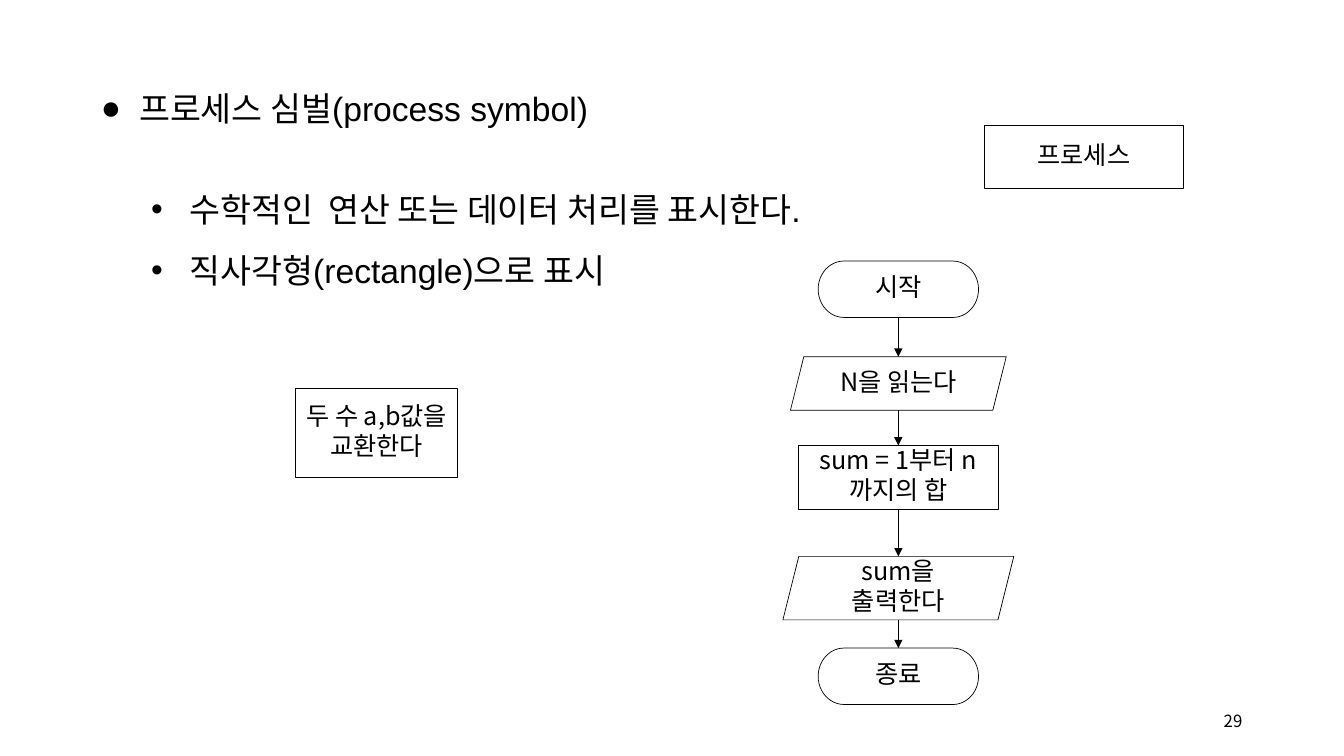
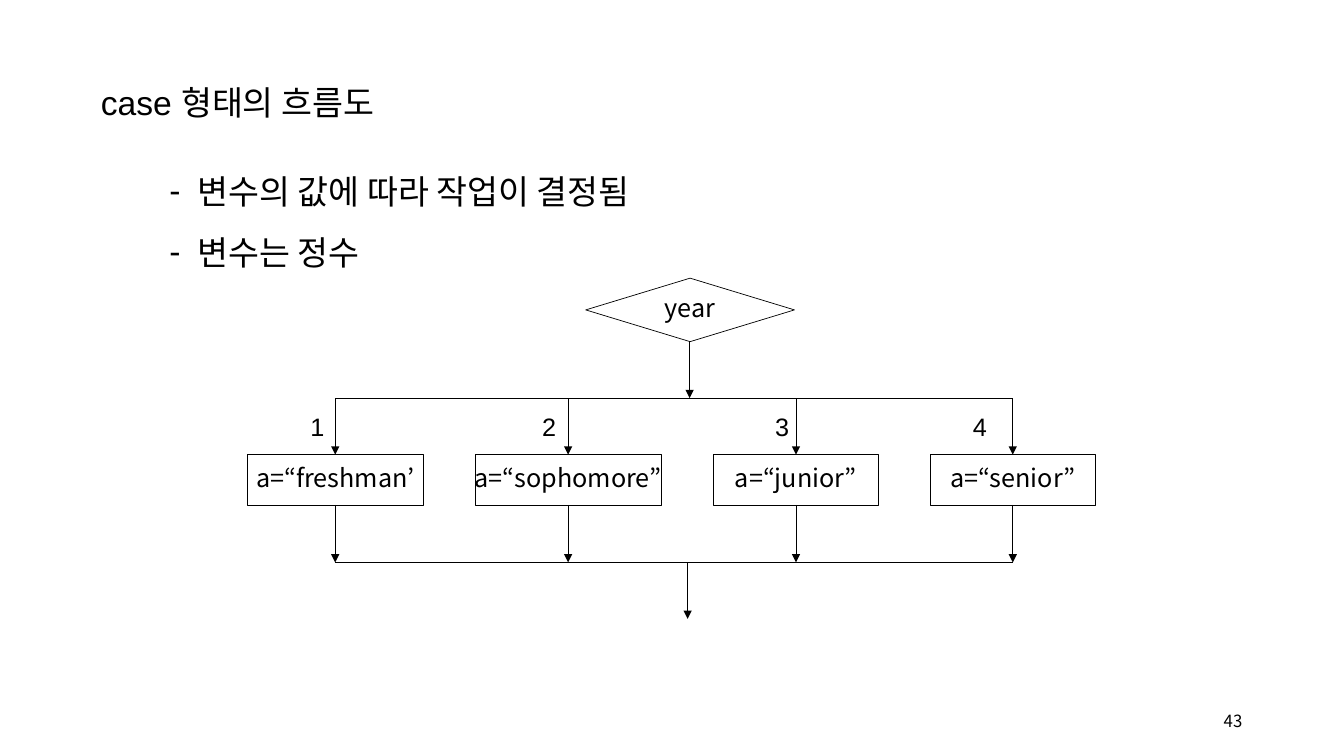
from itertools import pairwise

from lxml.etree import SubElement
from pptx import Presentation
from pptx.dml.color import RGBColor
from pptx.enum.shapes import MSO_CONNECTOR, MSO_SHAPE
from pptx.enum.text import MSO_ANCHOR, MSO_AUTO_SIZE, PP_ALIGN
from pptx.oxml.ns import qn
from pptx.util import Inches, Pt

INK = "000000"
TEXT_FONT = "Arial"
KOREAN_FONT = "Noto Sans CJK KR"
LINE_WIDTH = Pt(0.5)
LIST_SPACING = Pt(43.5)


def color(value):
    """Turn a hex string into a colour."""
    return RGBColor.from_string(value)


def style_paragraph(para, size, font=KOREAN_FONT, align=PP_ALIGN.LEFT):
    """Set the font and alignment of a paragraph."""
    para.alignment = align
    para.font.name = font
    para.font.size = Pt(size)
    para.font.color.rgb = color(INK)
    defaults = para._p.pPr.find(qn("a:defRPr"))
    SubElement(defaults, qn("a:ea"), typeface=KOREAN_FONT)


def set_bullet(para, bullet, margin, indent):
    """Give a paragraph a bullet and a hanging indent, or neither."""
    properties = para._p.get_or_add_pPr()
    properties.set("marL", str(Inches(margin)))
    properties.set("indent", str(-Inches(indent)))
    defaults = properties.find(qn("a:defRPr"))
    if bullet:
        marks = [SubElement(properties, qn("a:buFont"), typeface=TEXT_FONT),
                 SubElement(properties, qn("a:buChar"), char=bullet)]
    else:
        marks = [SubElement(properties, qn("a:buNone"))]
    for mark in marks:
        defaults.addprevious(mark)


def fill_placeholder(box, place, items, bullet="", margin=0, indent=0):
    """Move a placeholder and fill it with evenly spaced paragraphs."""
    box.left, box.top, box.width, box.height = map(Inches, place)
    frame = box.text_frame
    frame.text = "\n".join(items)
    frame.word_wrap = True
    frame.auto_size = MSO_AUTO_SIZE.NONE
    frame.vertical_anchor = MSO_ANCHOR.TOP
    for para in frame.paragraphs:
        para.line_spacing = LIST_SPACING
        para.space_before = Pt(0)
        style_paragraph(para, 24, TEXT_FONT)
        set_bullet(para, bullet, margin, indent)


def add_page(deck, number):
    """Add a title and content page with its page number."""
    page = deck.slides.add_slide(deck.slide_layouts[1])
    box = page.shapes.add_textbox(*map(Inches, (11.94, 6.95, 0.48, 0.4)))
    frame = box.text_frame
    frame.text = str(number)
    frame.word_wrap = True
    frame.vertical_anchor = MSO_ANCHOR.MIDDLE
    style_paragraph(frame.paragraphs[0], 12, align=PP_ALIGN.RIGHT)
    return page


def add_symbol(page, kind, text, left, top, width, height, wrap=True):
    """Add an outlined flowchart symbol with centred text."""
    symbol = page.shapes.add_shape(kind, *map(Inches, (left, top, width, height)))
    symbol.shadow.inherit = False
    symbol.fill.background()
    symbol.line.color.rgb = color(INK)
    symbol.line.width = LINE_WIDTH
    side = 0.05 if kind == MSO_SHAPE.PARALLELOGRAM else 0
    frame = symbol.text_frame
    frame.text = text
    frame.word_wrap = wrap
    frame.vertical_anchor = MSO_ANCHOR.MIDDLE
    frame.margin_left = frame.margin_right = Inches(side)
    frame.margin_top = 0
    frame.margin_bottom = Inches(0.05)
    style_paragraph(frame.paragraphs[0], 18, align=PP_ALIGN.CENTER)


def add_line(page, x1, y1, x2, y2):
    """Add a thin straight line without a shadow."""
    line = page.shapes.add_connector(
        MSO_CONNECTOR.STRAIGHT, *map(Inches, (x1, y1, x2, y2)))
    line.line.color.rgb = color(INK)
    line.line.width = LINE_WIDTH
    SubElement(line._element.spPr, qn("a:effectLst"))
    return line


def add_down_arrow(page, x, top, bottom):
    """Add a vertical line with an arrowhead at the bottom."""
    arrow = add_line(page, x, top, x, bottom)
    SubElement(arrow.line._get_or_add_ln(), qn("a:tailEnd"), type="triangle")


def add_case_label(page, text, left):
    """Add the number beside a branch."""
    box = page.shapes.add_textbox(*map(Inches, (left, 3.88, 0.34, 0.5)))
    frame = box.text_frame
    frame.text = text
    frame.word_wrap = False
    para = frame.paragraphs[0]
    para.line_spacing = 1.5
    style_paragraph(para, 18, TEXT_FONT)


def build_process_page(deck):
    """Build the page on the process symbol."""
    page = add_page(deck, 29)
    fill_placeholder(page.shapes.title, (0.9, 0.62, 8.5, 0.71),
                     ["프로세스 심벌(process symbol)"], "●", 0.38, 0.38)
    fill_placeholder(page.placeholders[1], (0.9, 1.62, 8.5, 1.31),
                     ["수학적인  연산 또는 데이터 처리를 표시한다.",
                      "직사각형(rectangle)으로 표시"], "•", 0.88, 0.38)
    add_symbol(page, MSO_SHAPE.RECTANGLE, "프로세스", 9.76, 1.24, 1.98, 0.63)
    add_symbol(page, MSO_SHAPE.RECTANGLE, "두 수 a,b값을 교환한다",
               2.93, 3.85, 1.61, 0.89)
    center = 8.91
    steps = [
        (MSO_SHAPE.FLOWCHART_TERMINATOR, "시작", 2.59, 1.59, 0.56),
        (MSO_SHAPE.PARALLELOGRAM, "N을 읽는다", 3.54, 2.14, 0.53),
        (MSO_SHAPE.RECTANGLE, "sum = 1부터 n까지의 합", 4.42, 1.98, 0.63),
        (MSO_SHAPE.PARALLELOGRAM, "sum을 출력한다", 5.52, 2.29, 0.63),
        (MSO_SHAPE.FLOWCHART_TERMINATOR, "종료", 6.43, 1.59, 0.56),
    ]
    for kind, text, top, width, height in steps:
        add_symbol(page, kind, text, center - width / 2, top, width, height)
    for (_, _, top, _, height), (_, _, next_top, _, _) in pairwise(steps):
        add_down_arrow(page, center, top + height, next_top)


def build_case_page(deck):
    """Build the page on the case flowchart."""
    page = add_page(deck, 43)
    fill_placeholder(page.shapes.title, (0.9, 0.56, 8.5, 0.71),
                     ["case 형태의 흐름도"])
    fill_placeholder(page.placeholders[1], (1.58, 1.44, 7, 1.31),
                     ["변수의 값에 따라 작업이 결정됨", "변수는 정수"],
                     "-", 0.28, 0.28)
    center, split, merge = 6.84, 3.95, 5.58
    box_top, box_height = 4.51, 0.5
    add_symbol(page, MSO_SHAPE.FLOWCHART_DECISION, "year", 5.81, 2.76, 2.07, 0.63)
    add_down_arrow(page, center, 3.39, split)
    cases = [
        ("1", "a=“freshman’", 2.45, 1.75, 2.98),
        ("2", "a=“sophomore”", 4.71, 1.85, 5.28),
        ("3", "a=“junior”", 7.08, 1.63, 7.59),
        ("4", "a=“senior”", 9.23, 1.63, 9.55),
    ]
    middles = [left + width / 2 for _, _, left, width, _ in cases]
    for (number, text, left, width, label_left), x in zip(cases, middles):
        add_symbol(page, MSO_SHAPE.FLOWCHART_PROCESS, text,
                   left, box_top, width, box_height, wrap=False)
        add_case_label(page, number, label_left)
        add_down_arrow(page, x, split, box_top)
        add_down_arrow(page, x, box_top + box_height, merge)
    for y in (split, merge):
        add_line(page, middles[0], y, middles[-1], y)
    add_down_arrow(page, center - 0.02, merge, 6.14)


def main():
    """Build and save the deck."""
    deck = Presentation()
    deck.slide_width, deck.slide_height = Inches(13.33), Inches(7.5)
    build_process_page(deck)
    build_case_page(deck)
    deck.save("out.pptx")


if __name__ == "__main__":
    main()
